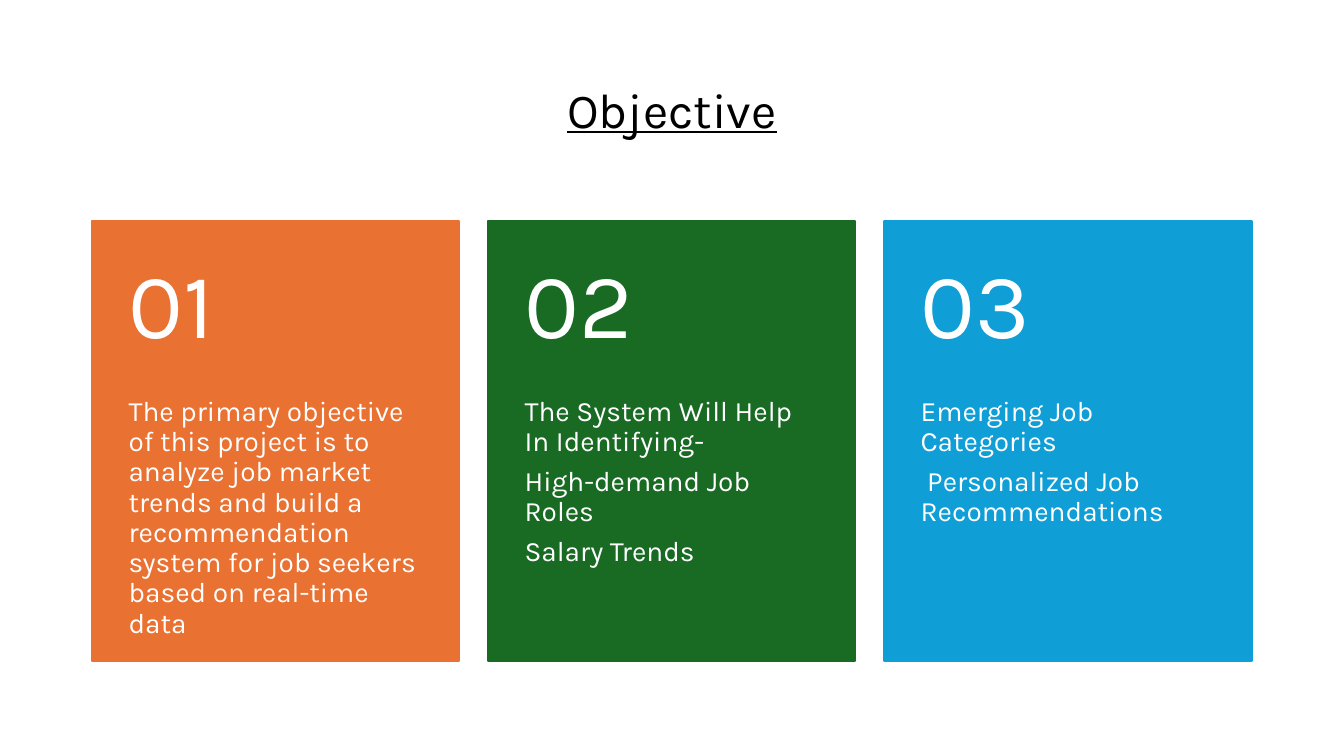
from pptx import Presentation
from pptx.dml.color import RGBColor
from pptx.enum.shapes import MSO_SHAPE
from pptx.enum.text import MSO_ANCHOR as Anchor, MSO_AUTO_SIZE as AutoSize, PP_ALIGN as Align
from pptx.util import Cm, Pt

FONT = "Karla"
BLACK = RGBColor(0x00, 0x00, 0x00)
WHITE = RGBColor(0xFF, 0xFF, 0xFF)
ORANGE = RGBColor(0xE9, 0x71, 0x32)
GREEN = RGBColor(0x19, 0x6B, 0x24)
BLUE = RGBColor(0x0F, 0x9E, 0xD5)

# Card geometry in centimetres
LEFT, TOP = 2.33, 5.56
CARD_WIDTH, CARD_HEIGHT = 9.25, 11.1
CARD_PITCH = 9.98
NUMBER_HEIGHT = 4.45
SIDE_INSET = 0.91

CARDS = [
    (ORANGE, [
        "The primary objective of this project is to analyze job market trends "
        "and build a recommendation system for job seekers based on real-time data",
    ]),
    (GREEN, [
        "The System Will Help In Identifying-",
        "High-demand Job Roles",
        "Salary Trends",
    ]),
    (BLUE, [
        "Emerging Job Categories",
        " Personalized Job Recommendations",
    ]),
]


def format_text(text_frame, size, color, align=Align.LEFT, space_after=0):
    for paragraph in text_frame.paragraphs:
        paragraph.alignment = align
        paragraph.line_spacing = 0.9
        paragraph.space_after = Pt(space_after)
        for run in paragraph.runs:
            run.font.name = FONT
            run.font.size = Pt(size)
            run.font.color.rgb = color


def add_title(slide, text):
    title = slide.shapes.title
    title.left, title.top = Cm(LEFT), Cm(1.01)
    title.width, title.height = Cm(29.21), Cm(3.68)
    text_frame = title.text_frame
    text_frame.text = text
    text_frame.auto_size = AutoSize.NONE
    text_frame.vertical_anchor = Anchor.MIDDLE
    format_text(text_frame, 35, BLACK, Align.CENTER)
    text_frame.paragraphs[0].runs[0].font.underline = True


def add_text(group, left, top, height, lines, size, anchor, inset_top, inset_bottom):
    box = group.shapes.add_textbox(Cm(left), Cm(top), Cm(CARD_WIDTH), Cm(height))
    text_frame = box.text_frame
    text_frame.text = "\n".join(lines)
    text_frame.word_wrap = True
    text_frame.vertical_anchor = anchor
    text_frame.margin_left = text_frame.margin_right = Cm(SIDE_INSET)
    text_frame.margin_top, text_frame.margin_bottom = Cm(inset_top), Cm(inset_bottom)
    format_text(text_frame, size, WHITE, space_after=size * 0.35)


def add_card(slide, index, color, lines):
    left = LEFT + index * CARD_PITCH
    group = slide.shapes.add_group_shape()

    # Coloured panel
    panel = group.shapes.add_shape(
        MSO_SHAPE.RECTANGLE, Cm(left), Cm(TOP), Cm(CARD_WIDTH), Cm(CARD_HEIGHT))
    panel.shadow.inherit = False
    panel.fill.solid()
    panel.fill.fore_color.rgb = color
    panel.line.color.rgb = color
    panel.line.width = Pt(1.5)

    # Description below, number above
    add_text(group, left, TOP + NUMBER_HEIGHT, CARD_HEIGHT - NUMBER_HEIGHT,
             lines, 20, Anchor.TOP, 0, SIDE_INSET)
    add_text(group, left, TOP, NUMBER_HEIGHT,
             [f"{index + 1:02d}"], 66, Anchor.MIDDLE, 0.46, 0.46)


def main():
    presentation = Presentation()
    presentation.slide_width, presentation.slide_height = Cm(33.87), Cm(19.05)
    slide = presentation.slides.add_slide(presentation.slide_layouts[5])

    add_title(slide, "Objective")
    for index, (color, lines) in enumerate(CARDS):
        add_card(slide, index, color, lines)

    presentation.save("out.pptx")


if __name__ == "__main__":
    main()
